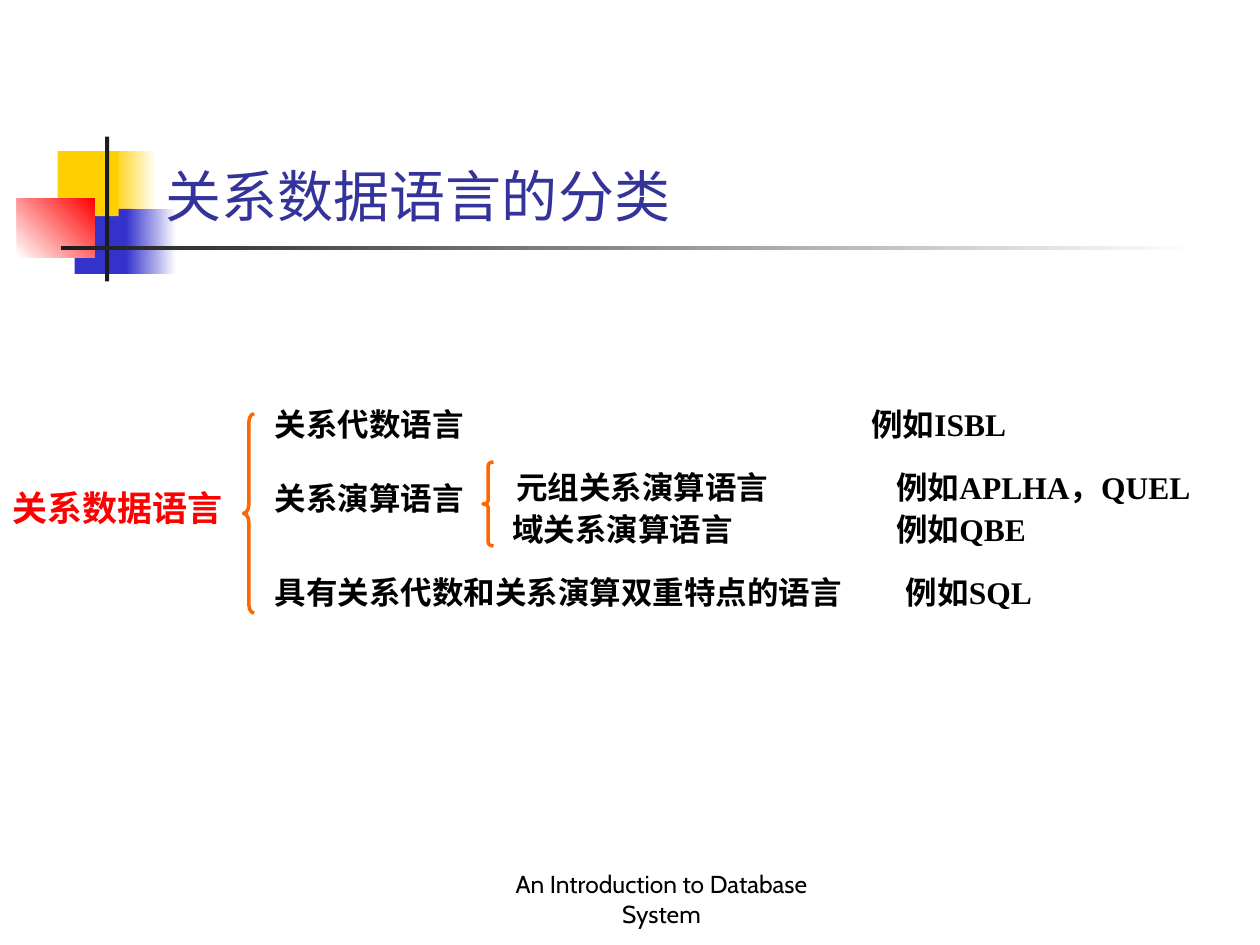
from lxml import etree
from pptx import Presentation
from pptx import util as u
from pptx.dml.color import RGBColor
from pptx.enum import shapes, text
from pptx.oxml.ns import qn

COLORS = {
    "gold": "FFCF01", "blue": "3333CC", "red": "FF0000", "ink": "1C1C1C",
    "white": "FFFFFF", "black": "000000", "brace": "FF6600", "title": "333399",
}
COLS, ROWS = 120, 90
INSET = 1.2


class Deck:
    def __init__(self):
        self.prs = Presentation()
        self.prs.slide_width, self.prs.slide_height = u.Inches(10), u.Inches(7.5)
        self.slide = self.prs.slides.add_slide(self.prs.slide_layouts[5])
        self.items = self.slide.shapes

    def x(self, cols):
        return round(self.prs.slide_width * cols / COLS)

    def y(self, rows):
        return round(self.prs.slide_height * rows / ROWS)

    def box(self, left, top, width, height):
        return self.x(left), self.y(top), self.x(width), self.y(height)

    def color(self, name):
        return RGBColor.from_string(COLORS[name])

    def letter(self, shape, words, size, color, font, bold=False,
               align=text.PP_ALIGN.LEFT, anchor=text.MSO_ANCHOR.TOP, tab=None):
        frame = shape.text_frame
        frame.word_wrap = True
        frame.auto_size = text.MSO_AUTO_SIZE.NONE
        frame.vertical_anchor = anchor
        frame.text = words
        para = frame.paragraphs[0]
        para.alignment = align
        if tab:
            tabs = etree.SubElement(para._p.get_or_add_pPr(), qn("a:tabLst"))
            etree.SubElement(tabs, qn("a:tab"), pos=str(self.x(tab)), algn="l")
        for run in para.runs:
            run.font.name, run.font.size = font, u.Pt(size)
            run.font.bold = bold
            run.font.color.rgb = self.color(color)

    def title(self, words, area):
        shape = self.items.title
        shape.left, shape.top, shape.width, shape.height = self.box(*area)
        self.letter(shape, words, 32, "title", "Cabin")
        self.items._spTree.append(shape._element)

    def label(self, words, area, size=18, color="black",
              font="Times New Roman", bold=True, **style):
        shape = self.items.add_textbox(*self.box(*area))
        self.letter(shape, words, size, color, font, bold, **style)

    def row(self, left, top, words, sample=None, start=None):
        if sample:
            self.label(f"{words}\t{sample}", (left, top, COLS - left, 4.8),
                       tab=start - left - INSET)
        else:
            self.label(words, (left, top, 31, 4.8))

    def block(self, area, first, last=None, angle=0):
        shape = self.items.add_shape(shapes.MSO_SHAPE.RECTANGLE, *self.box(*area))
        shape.shadow.inherit = False
        shape.line.fill.background()
        if last:
            shape.fill.gradient()
            shape.fill.gradient_angle = angle
            for stop, name in zip(shape.fill.gradient_stops, (first, last)):
                stop.color.rgb = self.color(name)
        else:
            shape.fill.solid()
            shape.fill.fore_color.rgb = self.color(first)

    def brace(self, area, curve):
        shape = self.items.add_shape(shapes.MSO_SHAPE.LEFT_BRACE, *self.box(*area))
        shape.shadow.inherit = False
        shape.adjustments[0] = curve
        shape.fill.background()
        shape.line.color.rgb = self.color("brace")
        shape.line.width = u.Pt(2)


def main():
    deck = Deck()
    deck.block((10.6, 14.4, 4.3, 6.2), "gold", "white")
    deck.block((7.1, 19.9, 5.5, 6.2), "blue")
    deck.block((5.5, 14.4, 5.8, 6.2), "gold")
    deck.block((12, 19.9, 4.8, 6.2), "blue", "white")
    deck.block((1.6, 18.9, 7.4, 5.6), "white", "red", 45)
    deck.block((10, 13, 0.4, 13.8), "ink")
    deck.block((5.8, 23.4, 108, 0.4), "ink", "white")

    deck.label("An Introduction to Database System", (44, 83, 38, 6), 14,
               font="Cabin", bold=False, align=text.PP_ALIGN.CENTER,
               anchor=text.MSO_ANCHOR.BOTTOM)

    deck.label("关系数据语言", (0, 45.7, 23, 5.2), 20, "red")
    deck.brace((23.2, 39.4, 1, 19), 0.83)
    deck.row(25, 38, "关系代数语言", "例如ISBL", 83)
    deck.row(25, 45, "关系演算语言")
    deck.row(25, 54, "具有关系代数和关系演算双重特点的语言", "例如SQL", 86.3)
    deck.brace((46, 44, 1, 8), 0.33)
    deck.row(48, 44, "元组关系演算语言", "例如APLHA，QUEL", 85.4)
    deck.row(47.6, 48, "域关系演算语言", "例如QBE", 85.4)

    deck.title("关系数据语言的分类", (14.6, 14.8, 89.8, 7.7))
    deck.prs.save("out.pptx")


if __name__ == "__main__":
    main()
